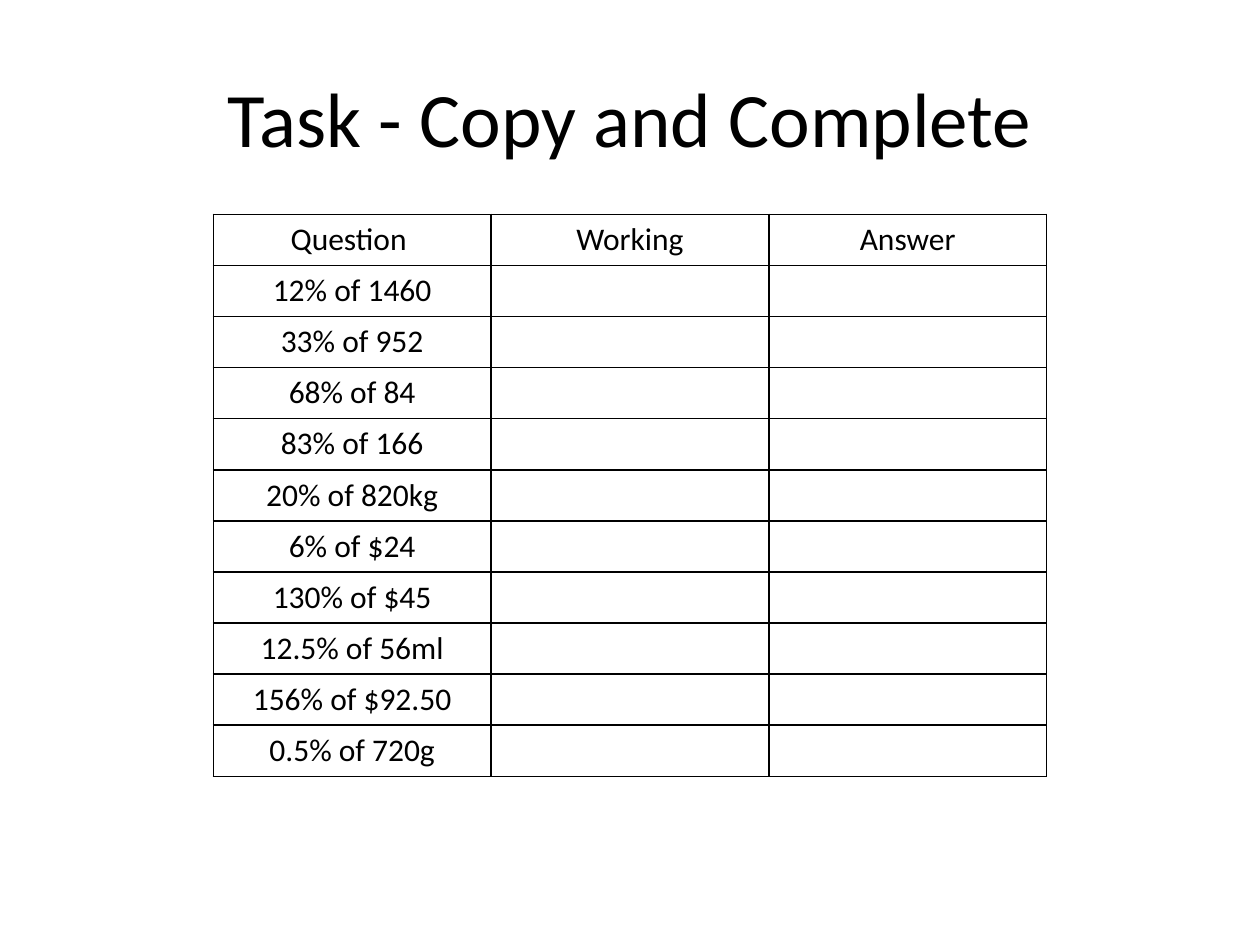
from lxml import etree
from pptx import Presentation
from pptx import util as u
from pptx.dml.color import RGBColor
from pptx.enum import text
from pptx.oxml.ns import qn


def colour(value):
    return RGBColor.from_string(value)


class SlideBuilder:
    font_name = "Calibri"
    ink = "000000"
    border_width = u.Pt(1)

    def __init__(self, slide):
        self.slide = slide

    def set_text(self, frame, content, size):
        frame.text = content
        paragraph = frame.paragraphs[0]
        paragraph.alignment = text.PP_ALIGN.CENTER
        paragraph.font.name = self.font_name
        paragraph.font.size = u.Pt(size)
        paragraph.font.color.rgb = colour(self.ink)

    def title(self, content, left, top, width, height, size):
        shape = self.slide.shapes.add_textbox(
            u.Cm(left), u.Cm(top), u.Cm(width), u.Cm(height))
        shape.text_frame.word_wrap = True
        shape.text_frame.vertical_anchor = text.MSO_ANCHOR.MIDDLE
        self.set_text(shape.text_frame, content, size)

    def border(self, cell):
        properties = cell._tc.get_or_add_tcPr()
        for side in ("lnL", "lnR", "lnT", "lnB"):
            line = etree.SubElement(
                properties, qn(f"a:{side}"), w=str(self.border_width))
            fill = etree.SubElement(line, qn("a:solidFill"))
            etree.SubElement(fill, qn("a:srgbClr"), val=self.ink)

    def table(self, rows, left, top, column_width, row_height, size):
        column_count = len(rows[0])
        table = self.slide.shapes.add_table(
            len(rows), column_count, u.Cm(left), u.Cm(top),
            u.Cm(column_width * column_count),
            u.Cm(row_height * len(rows))).table
        table.first_row = False
        table.horz_banding = False
        for row_index, row in enumerate(rows):
            for column_index, content in enumerate(row):
                cell = table.cell(row_index, column_index)
                self.set_text(cell.text_frame, content, size)
                self.border(cell)
                cell.fill.background()


def main():
    presentation = Presentation()
    presentation.slide_width = u.Cm(25.4)
    presentation.slide_height = u.Cm(19.05)
    slide = presentation.slides.add_slide(presentation.slide_layouts[6])
    builder = SlideBuilder(slide)

    builder.title("Task - Copy and Complete", 1.27, 0.76, 22.86, 3.18, 44)

    questions = [
        "12% of 1460", "33% of 952", "68% of 84", "83% of 166",
        "20% of 820kg", "6% of $24", "130% of $45", "12.5% of 56ml",
        "156% of $92.50", "0.5% of 720g",
    ]
    rows = [("Question ", "Working", "Answer")]
    rows += [(question, "", "") for question in questions]
    builder.table(rows, 4.3, 4.32, 5.6, 1.03, 18)

    presentation.save("out.pptx")


if __name__ == "__main__":
    main()
